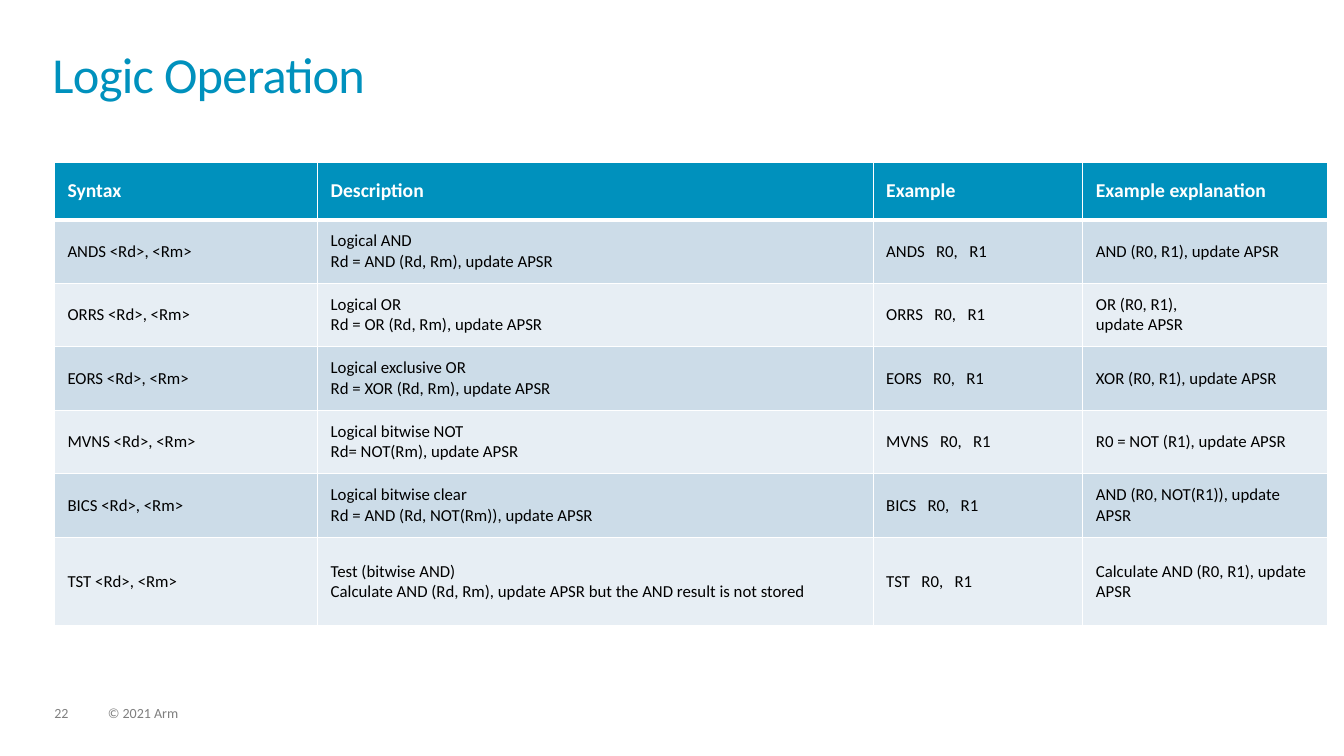
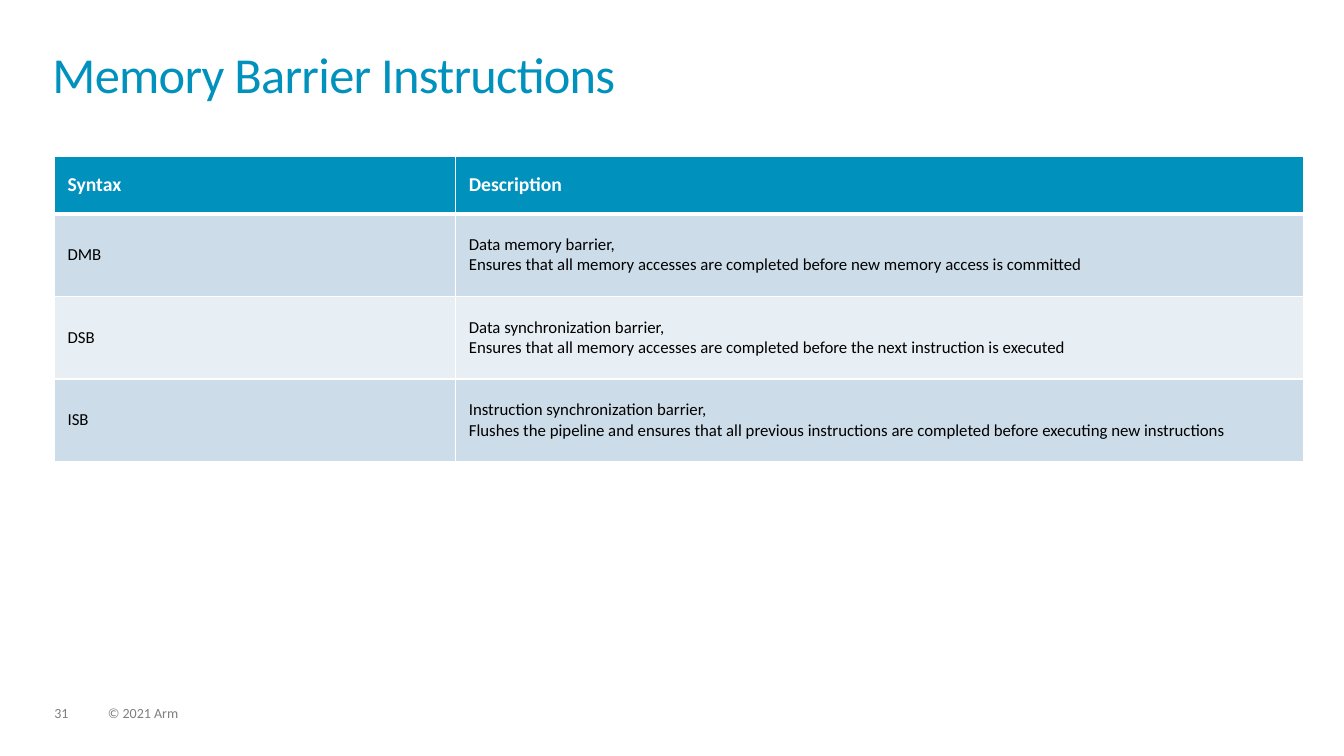
from dataclasses import dataclass

from lxml.etree import SubElement
from pptx import Presentation
from pptx.dml.color import RGBColor
from pptx.enum.text import MSO_ANCHOR, MSO_AUTO_SIZE, PP_ALIGN
from pptx.oxml.ns import qn
from pptx.util import Inches, Pt

FONT = "Calibri"
COLORS = {
    "accent": "0091BD",
    "band_dark": "CCDCE8",
    "band_light": "E7EEF4",
    "white": "FFFFFF",
    "black": "000000",
    "grey": "7F7F7F",
}
TITLE = {"size": Pt(36), "name": FONT, "bold": False}
FOOTER = {"size": Pt(10), "name": FONT}
HEADER = {"size": Pt(14), "name": FONT, "bold": True}
BODY = {"size": Pt(12), "name": FONT, "bold": False}
CELL_MARGINS = {
    "margin_left": Inches(0.13),
    "margin_right": Inches(0.13),
    "margin_top": Inches(0.05),
    "margin_bottom": Inches(0.05),
}
NO_MARGINS = dict.fromkeys(CELL_MARGINS, 0)
LEFT = 0.54
THIN, THICK = 1, 3


@dataclass
class TableSlide:
    number: int
    title: str
    top: float
    col_widths: list[float]
    row_heights: list[float]
    rows: list[list[str]]


SLIDES = [
    TableSlide(
        22, "Logic Operation", 1.61,
        [2.61, 5.51, 2.08, 2.43], [0.57] + [0.63] * 5 + [0.88],
        [
            ["Syntax", "Description", "Example", "Example explanation"],
            ["ANDS <Rd>, <Rm>", "Logical AND\nRd = AND (Rd, Rm), update APSR",
             "ANDS   R0,   R1", "AND (R0, R1), update APSR"],
            ["ORRS <Rd>, <Rm>", "Logical OR\nRd = OR (Rd, Rm), update APSR",
             "ORRS   R0,   R1", "OR (R0, R1),\nupdate APSR"],
            ["EORS <Rd>, <Rm>", "Logical exclusive OR\nRd = XOR (Rd, Rm), update APSR",
             "EORS   R0,   R1", "XOR (R0, R1), update APSR"],
            ["MVNS <Rd>, <Rm>", "Logical bitwise NOT\nRd= NOT(Rm), update APSR",
             "MVNS   R0,   R1", "R0 = NOT (R1), update APSR"],
            ["BICS <Rd>, <Rm>", "Logical bitwise clear\nRd = AND (Rd, NOT(Rm)), update APSR",
             "BICS   R0,   R1", "AND (R0, NOT(R1)), update APSR"],
            ["TST <Rd>, <Rm>",
             "Test (bitwise AND)\n"
             "Calculate AND (Rd, Rm), update APSR but the AND result is not stored",
             "TST   R0,   R1", "Calculate AND (R0, R1), update APSR"],
        ],
    ),
    TableSlide(
        31, "Memory Barrier Instructions", 1.55,
        [3.98, 8.41], [0.57] + [0.82] * 3,
        [
            ["Syntax", "Description"],
            ["DMB", "Data memory barrier,\n"
             "Ensures that all memory accesses are completed before new memory access is committed"],
            ["DSB", "Data synchronization barrier,\n"
             "Ensures that all memory accesses are completed before the next instruction is executed"],
            ["ISB", "Instruction synchronization barrier,\n"
             "Flushes the pipeline and ensures that all previous instructions are completed "
             "before executing new instructions"],
        ],
    ),
]


def set_attrs(target, values: dict) -> None:
    for name, value in values.items():
        setattr(target, name, value)


def format_text(tf, font: dict, color: str) -> None:
    for p in tf.paragraphs:
        for r in p.runs:
            set_attrs(r.font, font)
            r.font.color.rgb = RGBColor.from_string(COLORS[color])


def add_title(slide, text: str) -> None:
    sp = slide.shapes.title
    set_attrs(sp, {"left": Inches(0.52), "top": Inches(0.52),
                   "width": Inches(12.28), "height": Inches(0.72)})
    tf = sp.text_frame
    tf.text = text
    set_attrs(tf, NO_MARGINS | {"vertical_anchor": MSO_ANCHOR.TOP, "word_wrap": True,
                                "auto_size": MSO_AUTO_SIZE.NONE})
    p = tf.paragraphs[0]
    set_attrs(p, {"alignment": PP_ALIGN.LEFT, "line_spacing": 0.85})
    format_text(tf, TITLE, "accent")
    p.runs[0].font._element.set("spc", "-50")


def add_footer_text(slide, left: float, width: float, text: str) -> None:
    sp = slide.shapes.add_textbox(Inches(left), Inches(7.01), Inches(width), Inches(0.15))
    tf = sp.text_frame
    tf.text = text
    set_attrs(tf, NO_MARGINS | {"word_wrap": True,
                                "auto_size": MSO_AUTO_SIZE.SHAPE_TO_FIT_TEXT})
    set_attrs(tf.paragraphs[0], {"line_spacing": 0.9, "space_after": Pt(6)})
    format_text(tf, FOOTER, "grey")


def set_borders(cell, top: int, bottom: int) -> None:
    """Draw white cell borders; must run before the cell is filled."""
    tc_pr = cell._tc.get_or_add_tcPr()
    for side, width in {"L": THIN, "R": THIN, "T": top, "B": bottom}.items():
        ln = SubElement(tc_pr, qn(f"a:ln{side}"), w=str(Pt(width)))
        fill = SubElement(ln, qn("a:solidFill"))
        SubElement(fill, qn("a:srgbClr"), val=COLORS["white"])


def format_cell(cell, text: str, row: int) -> None:
    is_header = row == 0
    cell.text = text
    set_attrs(cell, CELL_MARGINS | {"vertical_anchor": MSO_ANCHOR.MIDDLE})
    set_borders(cell, THICK if row == 1 else THIN, THICK if is_header else THIN)
    band = "accent" if is_header else "band_dark" if row % 2 else "band_light"
    cell.fill.solid()
    cell.fill.fore_color.rgb = RGBColor.from_string(COLORS[band])
    format_text(cell.text_frame, HEADER if is_header else BODY,
                "white" if is_header else "black")


def add_instruction_table(slide, data: TableSlide) -> None:
    table = slide.shapes.add_table(
        len(data.rows), len(data.col_widths), Inches(LEFT), Inches(data.top),
        Inches(sum(data.col_widths)), Inches(sum(data.row_heights))).table
    for column, width in zip(table.columns, data.col_widths):
        column.width = Inches(width)
    for row, height in zip(table.rows, data.row_heights):
        row.height = Inches(height)
    for i, texts in enumerate(data.rows):
        for j, text in enumerate(texts):
            format_cell(table.cell(i, j), text, i)


def main() -> None:
    prs = Presentation()
    prs.slide_width, prs.slide_height = Inches(13.33), Inches(7.5)
    title_only = prs.slide_layouts[5]
    for data in SLIDES:
        slide = prs.slides.add_slide(title_only)
        add_footer_text(slide, LEFT, 0.34, str(data.number))
        add_footer_text(slide, 1.07, 5.07, "© 2021 Arm")
        add_title(slide, data.title)
        add_instruction_table(slide, data)
    prs.save("out.pptx")


if __name__ == "__main__":
    main()
